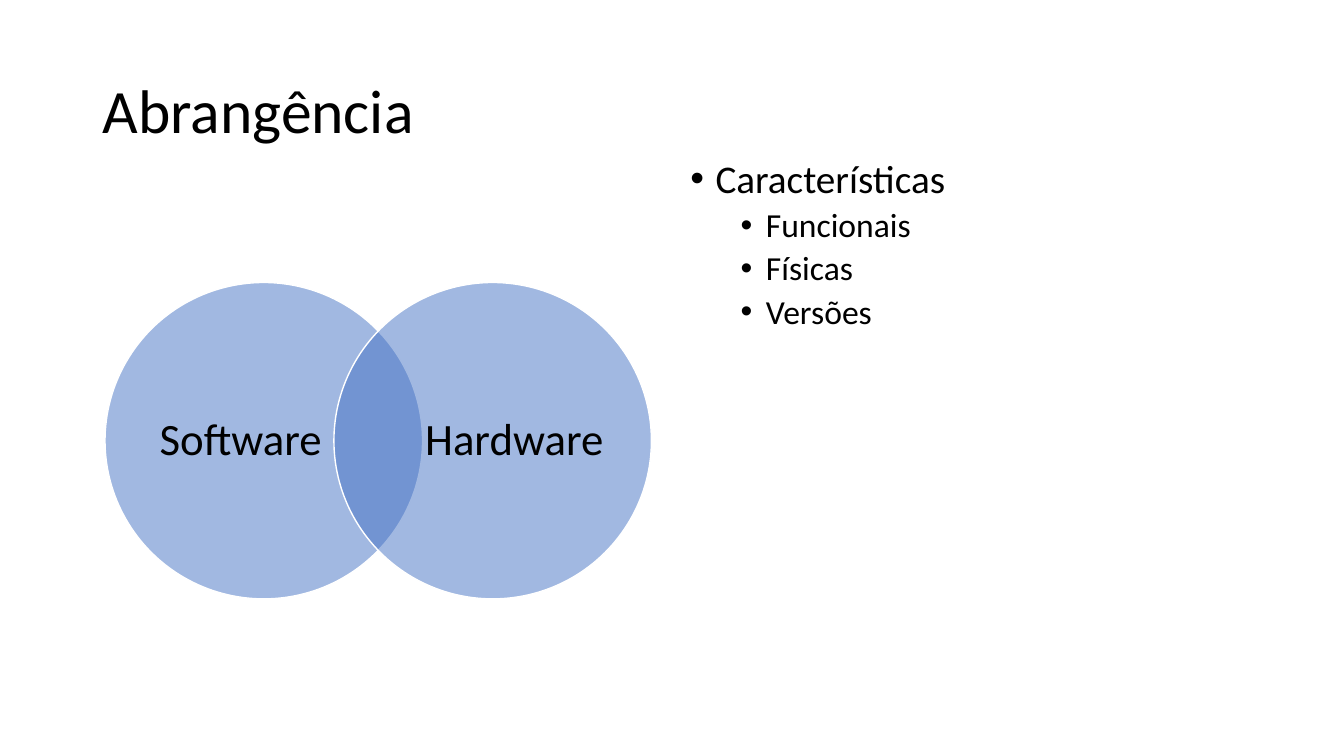
from lxml.etree import SubElement
from pptx import Presentation
from pptx.dml.color import RGBColor
from pptx.enum.shapes import MSO_SHAPE
from pptx.enum.text import MSO_ANCHOR, PP_ALIGN
from pptx.oxml.ns import qn
from pptx.util import Pt

BLACK = RGBColor(0, 0, 0)
WHITE = RGBColor(255, 255, 255)
BLUE = RGBColor(0x44, 0x72, 0xC4)
FONT = "Calibri"


def add_text(paragraph, text, size):
    """Add one run in the slide's font and set the line spacing."""
    paragraph.line_spacing = 0.9
    run = paragraph.add_run()
    run.text = text
    run.font.name = FONT
    run.font.size = Pt(size)
    run.font.color.rgb = BLACK


def add_bullet(paragraph, indent):
    """Give a paragraph a round bullet hanging 18 pt before its text."""
    properties = paragraph._p.get_or_add_pPr()
    properties.set("marL", str(Pt(indent)))
    properties.set("indent", str(Pt(-18)))
    SubElement(properties, qn("a:buFont"), typeface="Arial")
    SubElement(properties, qn("a:buChar"), char="•")


presentation = Presentation()
presentation.slide_width, presentation.slide_height = Pt(960), Pt(540)
slide = presentation.slides.add_slide(presentation.slide_layouts[5])

# Title
title = slide.shapes.title
title.left, title.top, title.width, title.height = Pt(66), Pt(28.8), Pt(828), Pt(104.4)
title.text_frame.vertical_anchor = MSO_ANCHOR.MIDDLE
heading = title.text_frame.paragraphs[0]
heading.alignment = PP_ALIGN.LEFT
add_text(heading, "Abrangência", 44)

# Overlapping circles, each followed by its label
for circle_left, label_left, area in [(75, 106.8, "Software"), (238.5, 302.2, "Hardware")]:
    circle = slide.shapes.add_shape(
        MSO_SHAPE.OVAL, Pt(circle_left), Pt(201.8), Pt(226.8), Pt(226))
    circle.shadow.inherit = False
    circle.fill.solid()
    circle.fill.fore_color.rgb = BLUE
    fill_color = circle._element.spPr.find(qn("a:solidFill")).find(qn("a:srgbClr"))
    SubElement(fill_color, qn("a:alpha"), val="50000")
    circle.line.color.rgb = WHITE
    circle.line.width = Pt(1)

    label = slide.shapes.add_textbox(Pt(label_left), Pt(228.4), Pt(130.4), Pt(172.8))
    frame = label.text_frame
    frame.word_wrap = True
    frame.vertical_anchor = MSO_ANCHOR.MIDDLE
    frame.margin_left = frame.margin_right = frame.margin_top = frame.margin_bottom = 0
    frame.paragraphs[0].alignment = PP_ALIGN.CENTER
    add_text(frame.paragraphs[0], area, 32)

# Bulleted characteristics
characteristics = slide.shapes.add_textbox(Pt(486), Pt(110.2), Pt(408), Pt(375.8)).text_frame
characteristics.word_wrap = True
topic = characteristics.paragraphs[0]
topic.space_before = Pt(10)
add_text(topic, "Características", 28)
add_bullet(topic, 18)
for kind in ["Funcionais", "Físicas", "Versões"]:
    item = characteristics.add_paragraph()
    item.level = 1
    item.space_before = Pt(5)
    add_text(item, kind, 24)
    add_bullet(item, 54)

presentation.save("out.pptx")
